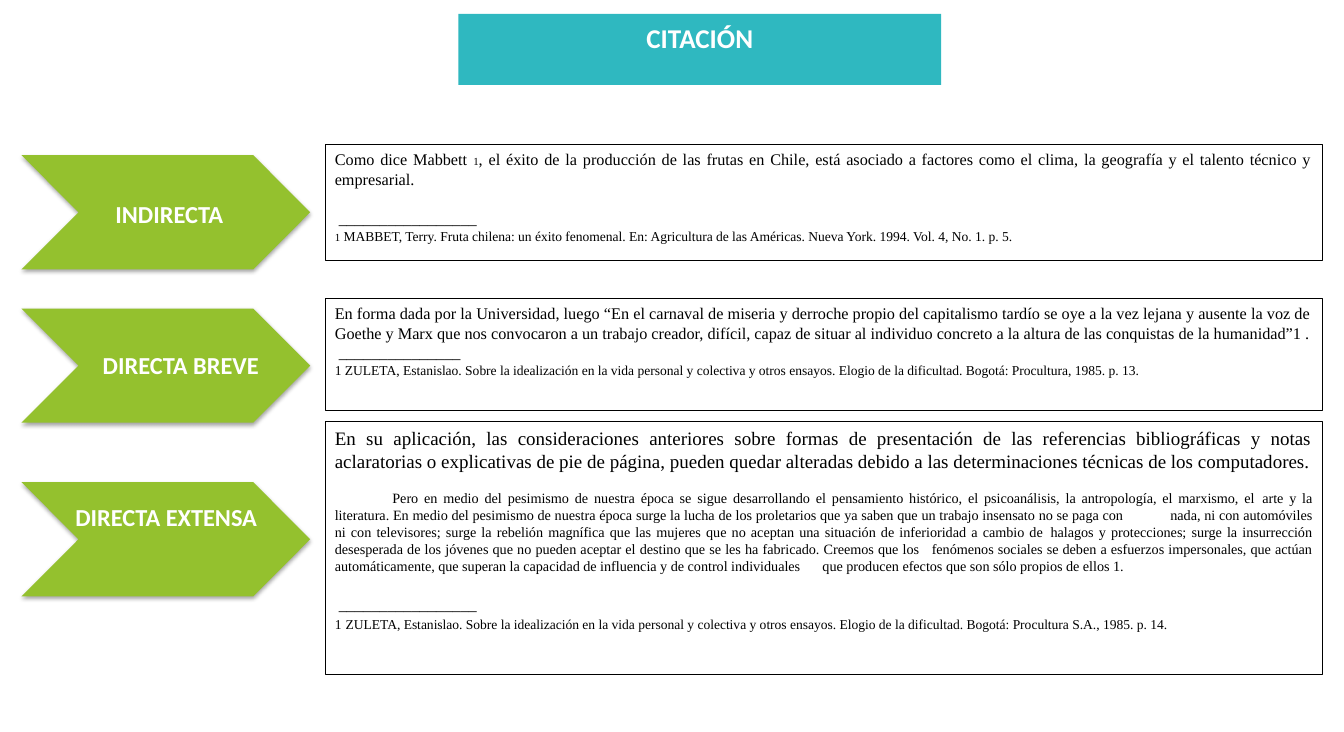
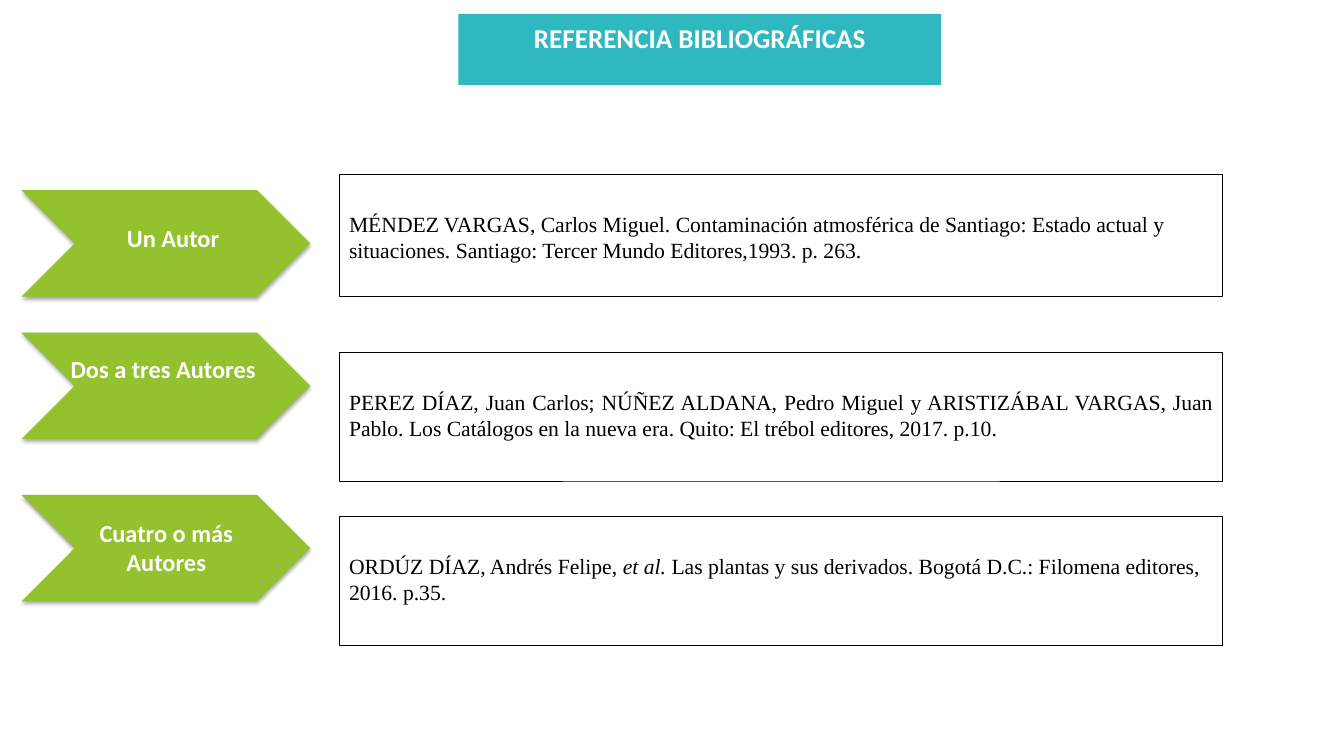
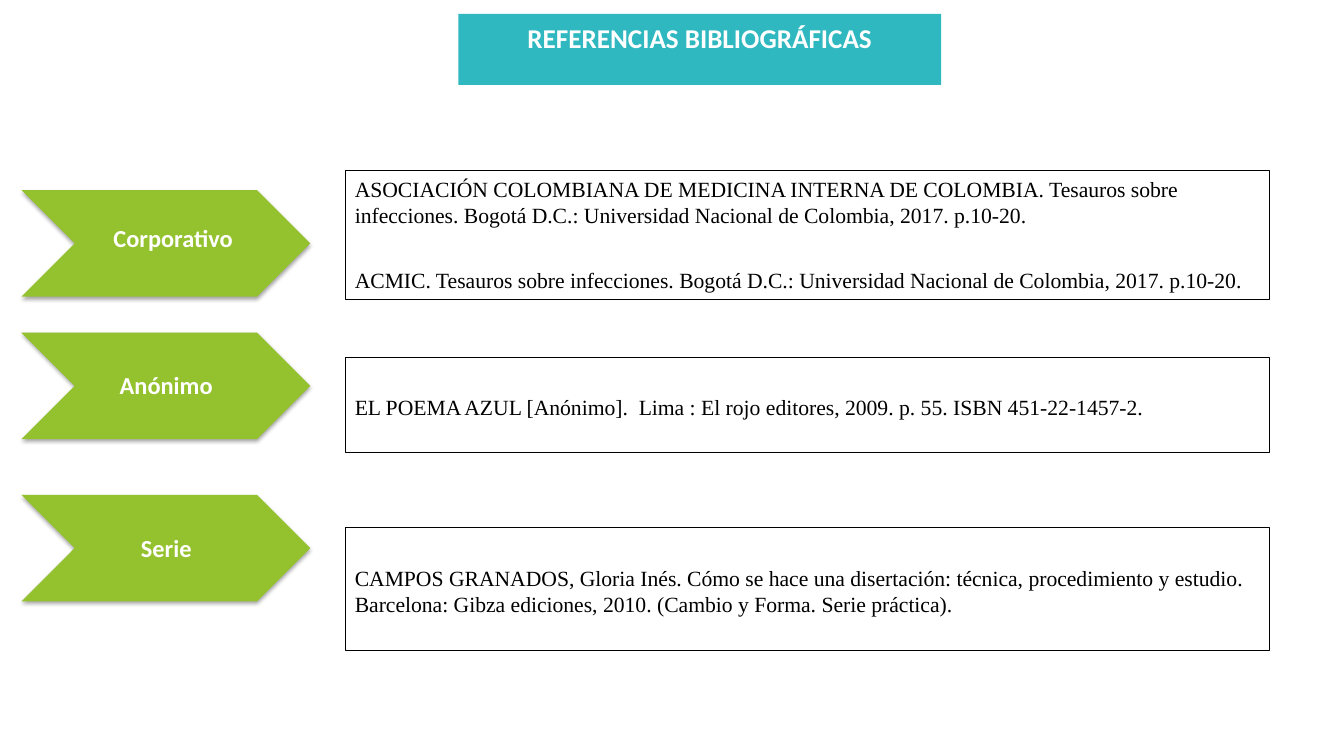
from lxml import etree
from pptx import Presentation
from pptx.dml.color import RGBColor
from pptx.enum.shapes import MSO_SHAPE
from pptx.enum.text import MSO_ANCHOR, MSO_AUTO_SIZE, PP_ALIGN
from pptx.oxml import parse_xml
from pptx.oxml.ns import nsdecls, qn
from pptx.util import Cm, Pt

TEAL, GREEN, WHITE, BLACK = "2FB8C0", "94C12E", "FFFFFF", "000000"
HEADING_FONT, BODY_FONT = "Calibri", "Times New Roman"
LEFT, JUSTIFY, CENTER = PP_ALIGN.LEFT, PP_ALIGN.JUSTIFY, PP_ALIGN.CENTER
TOP_GAP = 0.95   # inset that leaves one line free above a reference
SHADOW = (f'<a:outerShdw {nsdecls("a")} blurRad="{Pt(3.1)}" dist="{Pt(1.8)}" dir="5400000" '
          f'rotWithShape="0"><a:srgbClr val="{BLACK}"><a:alpha val="35000"/></a:srgbClr></a:outerShdw>')


def rgb(color):
    return RGBColor.from_string(color)


def write(p, text, size, font=BODY_FONT, color=BLACK, bold=False, italic=False):
    r = p.add_run()
    r.text = text
    r.font.size, r.font.name = Pt(size), font
    r.font.bold, r.font.italic = bold, italic
    r.font.color.rgb = rgb(color)


# Chevrons: (top, label, label left, label top)
# Boxes: (top, height, top inset, alignment, paragraphs)
# Paragraphs: (space before, runs); runs: (text, size) or (text, size, italic)
slides = [
    {
        "title": "CITACIÓN",
        "chevron_height": 2.97,
        "chevrons": [
            (4.04, "INDIRECTA", 1.4, 5.05),
            (8.03, "DIRECTA BREVE", 1.7, 9.0),
            (12.55, "DIRECTA EXTENSA", 1.32, 12.93),
        ],
        "box_left": 8.47, "box_width": 25.96,
        "boxes": [
            (3.76, 3.02, 0.13, JUSTIFY, [
                (0, [("Como dice Mabbett ", 12), ("1", 8),
                     (", el éxito de la producción de las frutas en Chile, está asociado a factores como "
                      "el clima, la geografía y el talento técnico y empresarial.", 12)]),
                (14.5, [(" _________________", 12)]),
                (0, [("1", 8), (" MABBET, Terry. Fruta chilena: un éxito fenomenal. En: Agricultura de las "
                                "Américas. Nueva York. 1994. Vol. 4, No. 1. p. 5.", 10)]),
            ]),
            (7.77, 2.92, 0.13, JUSTIFY, [
                (0, [("En forma dada por la Universidad, luego “En el carnaval de miseria y derroche propio "
                      "del capitalismo tardío se oye a la vez lejana y ausente la voz de Goethe y Marx que "
                      "nos convocaron a un trabajo creador, difícil, capaz de situar al individuo concreto "
                      "a la altura de las conquistas de la humanidad”1 .", 12)]),
                (0, [(" _______________", 12)]),
                (0, [("1 ZULETA, Estanislao. Sobre la idealización en la vida personal y colectiva y otros "
                      "ensayos. Elogio de la dificultad. Bogotá: Procultura, 1985. p. 13.", 10)]),
            ]),
            (10.97, 6.58, 0.13, JUSTIFY, [
                (0, [("En su aplicación, las consideraciones anteriores sobre formas de presentación de las "
                      "referencias bibliográficas y notas aclaratorias o explicativas de pie de página, "
                      "pueden quedar alteradas debido a las determinaciones técnicas de los "
                      "computadores.", 14)]),
                (12.5, [("\tPero en medio del pesimismo de nuestra época se sigue desarrollando el "
                         "pensamiento histórico, el psicoanálisis, la antropología, el marxismo, el \tarte y "
                         "la literatura. En medio del pesimismo de nuestra época surge la lucha de los "
                         "proletarios que ya saben que un trabajo insensato no se paga con \tnada, ni con "
                         "automóviles ni con televisores; surge la rebelión magnífica que las mujeres que no "
                         "aceptan una situación de inferioridad a cambio de \thalagos y protecciones; surge "
                         "la insurrección desesperada de los jóvenes que no pueden aceptar el destino que se "
                         "les ha fabricado. Creemos que los \tfenómenos sociales se deben a esfuerzos "
                         "impersonales, que actúan automáticamente, que superan la capacidad de influencia y "
                         "de control individuales \tque producen efectos que son sólo propios de ellos "
                         "1.", 10.5)]),
                (14.5, [(" _________________", 12)]),
                (0, [("1", 10), (" ", 12),
                     ("ZULETA, Estanislao. Sobre la idealización en la vida personal y colectiva y otros "
                      "ensayos. Elogio de la dificultad. Bogotá: Procultura S.A., 1985. p. 14.", 10)]),
            ]),
        ],
    },
    {
        "title": "REFERENCIA BIBLIOGRÁFICAS",
        "chevron_height": 2.77,
        "chevrons": [
            (4.95, "Un Autor", 1.5, 5.69),
            (8.66, "Dos a tres Autores", 1.24, 9.1),
            (12.88, "Cuatro o más Autores", 1.32, 13.36),
        ],
        "box_left": 8.84, "box_width": 23.01,
        "boxes": [
            (4.55, 3.18, TOP_GAP, LEFT, [
                (0, [("MÉNDEZ VARGAS, Carlos Miguel. Contaminación atmosférica de Santiago: Estado actual y "
                      "situaciones. Santiago: Tercer Mundo Editores,1993. p. 263.", 16)]),
            ]),
            (9.17, 3.35, TOP_GAP, JUSTIFY, [
                (0, [("PEREZ DÍAZ, Juan Carlos; NÚÑEZ ALDANA, Pedro Miguel y ARISTIZÁBAL VARGAS, Juan Pablo. "
                      "Los Catálogos en la nueva era. Quito: El trébol editores, 2017. p.10.", 16)]),
            ]),
            (13.44, 3.35, TOP_GAP, LEFT, [
                (0, [("ORDÚZ DÍAZ, Andrés Felipe, ", 16), ("et al. ", 16, True),
                     ("Las plantas y sus derivados. Bogotá D.C.: Filomena editores, 2016. p.35.", 16)]),
            ]),
        ],
    },
    {
        "title": "REFERENCIAS BIBLIOGRÁFICAS",
        "chevron_height": 2.77,
        "chevrons": [
            (4.95, "Corporativo", 1.5, 5.69),
            (8.66, "Anónimo", 1.32, 9.5),
            (12.88, "Serie", 1.32, 13.74),
        ],
        "box_left": 8.99, "box_width": 24.08,
        "boxes": [
            (4.45, 3.35, 0.13, LEFT, [
                (0, [("ASOCIACIÓN COLOMBIANA DE MEDICINA INTERNA DE COLOMBIA. Tesauros sobre infecciones. "
                      "Bogotá D.C.: Universidad Nacional de Colombia, 2017. p.10-20.", 16)]),
                (29, [("ACMIC. Tesauros sobre infecciones. Bogotá D.C.: Universidad Nacional de Colombia, "
                       "2017. p.10-20.", 16)]),
            ]),
            (9.3, 2.49, TOP_GAP, LEFT, [
                (0, [("EL POEMA AZUL [Anónimo].  Lima : El rojo editores, 2009. p. 55. "
                      "ISBN 451-22-1457-2.", 16)]),
            ]),
            (13.74, 3.18, TOP_GAP, LEFT, [
                (0, [("CAMPOS GRANADOS, Gloria Inés. Cómo se hace una disertación: técnica, procedimiento y "
                      "estudio. Barcelona: Gibza ediciones, 2010. (Cambio y Forma. Serie práctica).", 16)]),
            ]),
        ],
    },
]

prs = Presentation()
prs.slide_width, prs.slide_height = Cm(35), Cm(19.05)

for content in slides:
    s = prs.slides.add_slide(prs.slide_layouts[5])

    title = s.shapes.title
    title.left, title.top, title.width, title.height = Cm(11.94), Cm(0.36), Cm(12.57), Cm(1.85)
    title.fill.solid()
    title.fill.fore_color.rgb = rgb(TEAL)
    tf = title.text_frame
    tf.auto_size = MSO_AUTO_SIZE.NONE
    tf.vertical_anchor = MSO_ANCHOR.TOP
    tf.margin_top = Cm(0.2)
    tf.paragraphs[0].alignment = CENTER
    write(tf.paragraphs[0], content["title"], 20, HEADING_FONT, WHITE, bold=True)

    for top, label, label_left, label_top in content["chevrons"]:
        sp = s.shapes.add_shape(MSO_SHAPE.CHEVRON, Cm(0.56), Cm(top), Cm(7.52), Cm(content["chevron_height"]))
        sp.fill.solid()
        sp.fill.fore_color.rgb = rgb(GREEN)
        sp.line.fill.background()
        sp.shadow.inherit = False
        sp.element.spPr.find(qn("a:effectLst")).append(parse_xml(SHADOW))

        tf = s.shapes.add_textbox(Cm(label_left), Cm(label_top), Cm(6.02), Cm(1.02)).text_frame
        tf.word_wrap = True
        tf.paragraphs[0].alignment = CENTER
        write(tf.paragraphs[0], label, 18, HEADING_FONT, WHITE, bold=True)

    for top, height, inset, alignment, paragraphs in content["boxes"]:
        sp = s.shapes.add_textbox(Cm(content["box_left"]), Cm(top), Cm(content["box_width"]), Cm(height))
        sp.line.color.rgb = rgb(BLACK)
        sp.line.width = Pt(0.75)
        tf = sp.text_frame
        tf.word_wrap = True
        tf.margin_top = Cm(inset)
        for i, (before, runs) in enumerate(paragraphs):
            p = tf.add_paragraph() if i else tf.paragraphs[0]
            if runs[0][0].startswith("\t"):
                tabs = etree.SubElement(p._p.get_or_add_pPr(), qn("a:tabLst"))
                etree.SubElement(tabs, qn("a:tab"), pos=str(Cm(1.5)), algn="l")
            p.alignment = alignment
            if before:
                p.space_before = Pt(before)
            for text, size, *italic in runs:
                write(p, text, size, italic=bool(italic))

prs.save("out.pptx")
